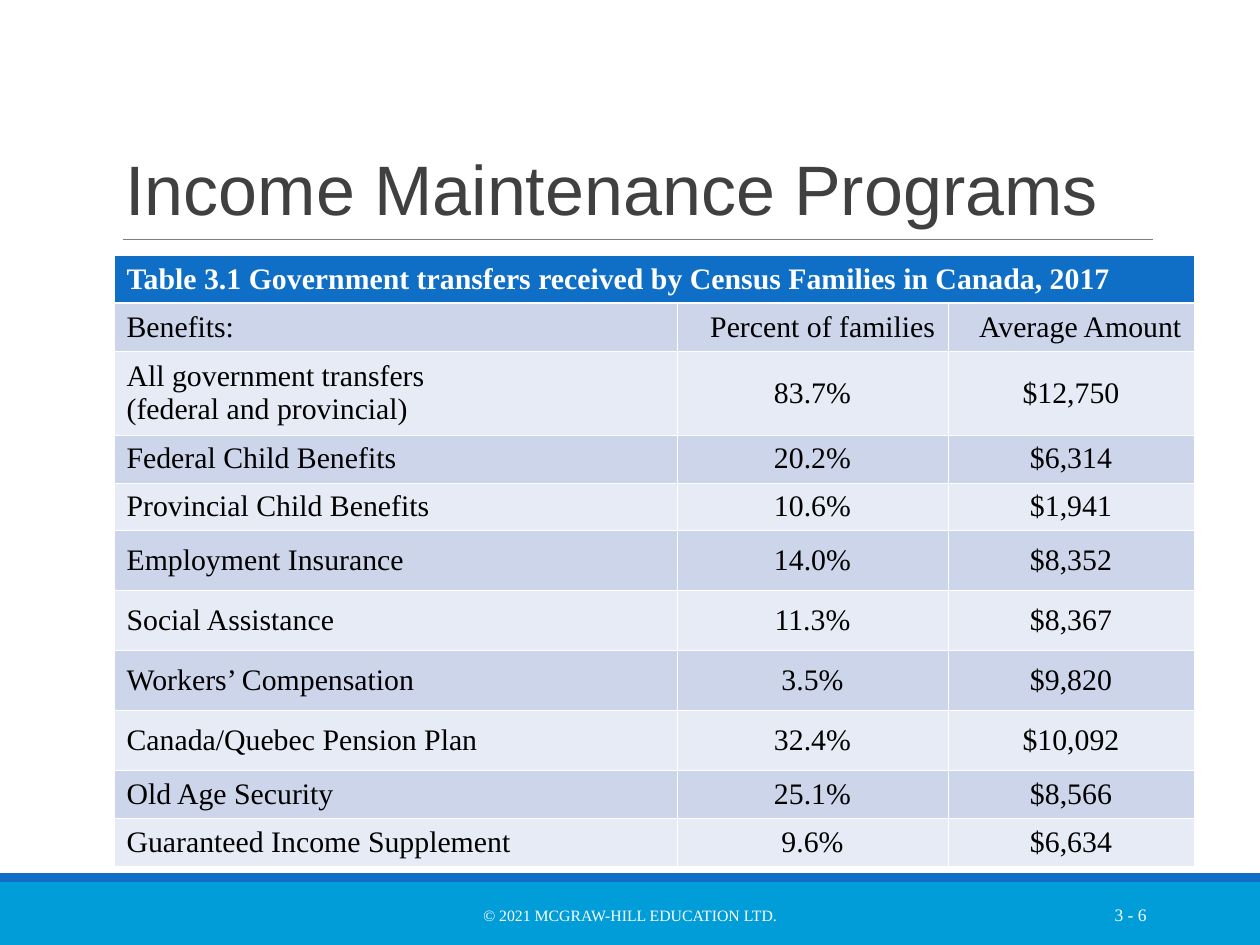
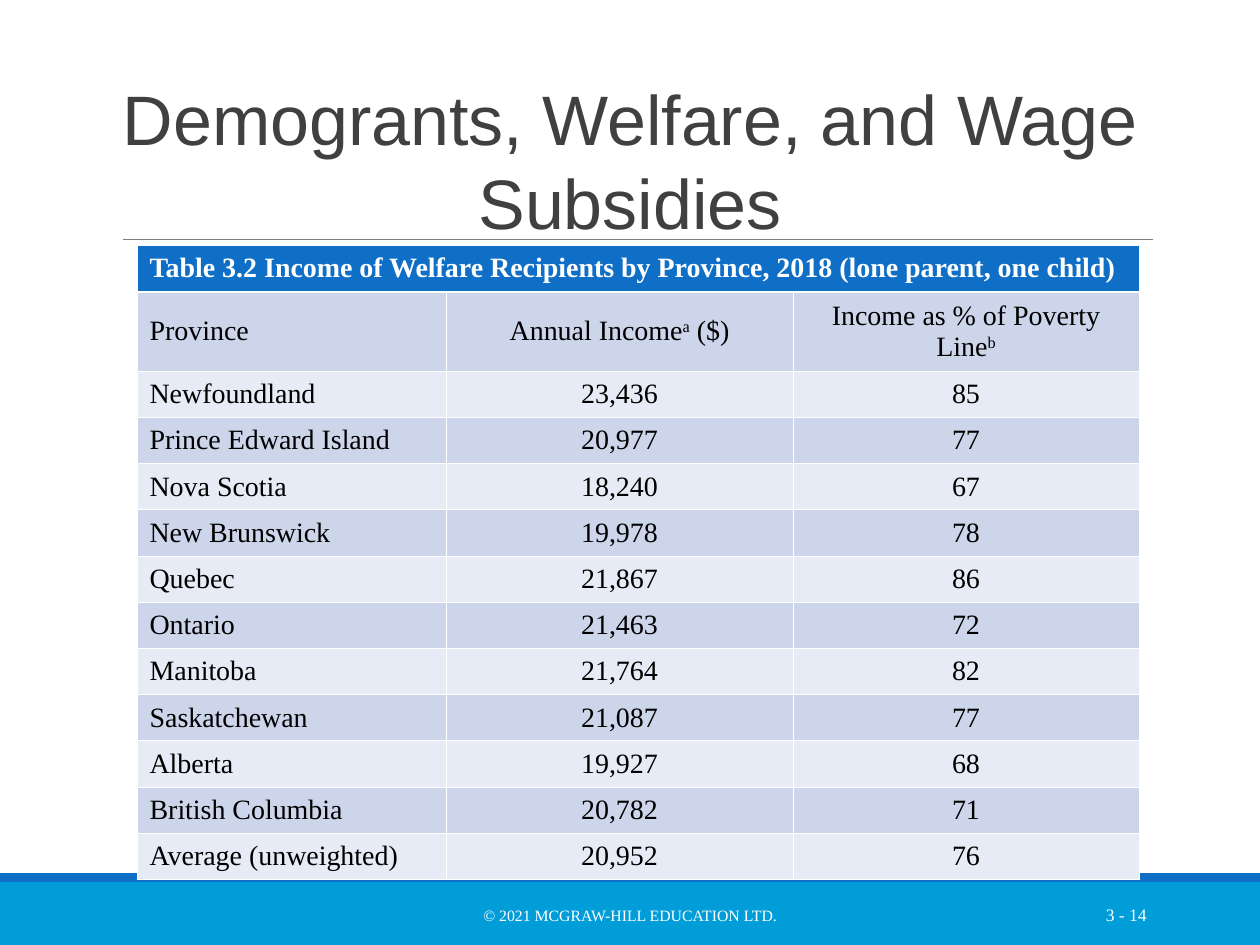
from dataclasses import dataclass

from lxml import etree
from pptx import Presentation
from pptx.dml.color import RGBColor
from pptx.enum.shapes import MSO_CONNECTOR, MSO_SHAPE
from pptx.enum.text import MSO_ANCHOR, MSO_AUTO_SIZE, PP_ALIGN
from pptx.oxml.ns import qn
from pptx.util import Emu, Pt

LEFT, CENTER, RIGHT = PP_ALIGN.LEFT, PP_ALIGN.CENTER, PP_ALIGN.RIGHT
MIDDLE, BOTTOM = MSO_ANCHOR.MIDDLE, MSO_ANCHOR.BOTTOM
STRAIGHT, RECTANGLE = MSO_CONNECTOR.STRAIGHT, MSO_SHAPE.RECTANGLE
NO_AUTOFIT = MSO_AUTO_SIZE.NONE
EMU_PER_PX = 914400 / 126


@dataclass(frozen=True)
class Theme:
    title_font: str = "Arial"
    body_font: str = "Times New Roman"
    title_size: int = 40
    footer_size: int = 9
    number_size: int = 10
    title: str = "404040"
    text: str = "000000"
    white: str = "FFFFFF"
    rule: str = "7F7F7F"
    footer: str = "009DD9"
    accent: str = "0F6FC6"
    bands: tuple = ("CCD5EA", "E7EBF5")
    thin: float = 0.45
    thick: float = 1.47


THEME = Theme()


def px(*lengths):
    return [Emu(round(length * EMU_PER_PX)) for length in lengths]


def write(frame, text, size, color, font=THEME.body_font, bold=False,
          align=LEFT, anchor=MIDDLE, spacing=1.0):
    frame.word_wrap = True
    frame.vertical_anchor = anchor
    for index, line in enumerate(text.split("\n")):
        para = frame.add_paragraph() if index else frame.paragraphs[0]
        para.alignment = align
        para.line_spacing = spacing
        for part, piece in enumerate(line.split("^")):
            if not piece:
                continue
            span = para.add_run()
            span.text = piece
            span.font.name = font
            span.font.size = Pt(size)
            span.font.bold = bold
            span.font.color.rgb = RGBColor.from_string(color)
            if part % 2:
                span.font._element.set("baseline", "30000")


pages = [
    dict(
        title="Income Maintenance Programs",
        title_box=(113, 35, 1040, 201),
        title_format=dict(align=LEFT, anchor=BOTTOM, spacing=0.85),
        number="3 - 6",
        table_at=(114, 255),
        columns=(563, 271, 246),
        heights=[48, 48, 84, 48, 48, 60, 60, 60, 60, 48, 48],
        size=17,
        heading_align=RIGHT,
        rows=[
            ("Table 3.1 Government transfers received by Census Families in Canada, 2017",),
            ("Benefits:", "Percent of families", "Average Amount"),
            ("All government transfers\n(federal and provincial)", "83.7%", "$12,750"),
            ("Federal Child Benefits", "20.2%", "$6,314"),
            ("Provincial Child Benefits", "10.6%", "$1,941"),
            ("Employment Insurance", "14.0%", "$8,352"),
            ("Social Assistance", "11.3%", "$8,367"),
            ("Workers’ Compensation", "3.5%", "$9,820"),
            ("Canada/Quebec Pension Plan", "32.4%", "$10,092"),
            ("Old Age Security", "25.1%", "$8,566"),
            ("Guaranteed Income Supplement", "9.6%", "$6,634"),
        ],
    ),
    dict(
        title="Demogrants, Welfare, and Wage Subsidies",
        title_box=(63, 81, 1134, 158),
        title_format=dict(align=CENTER, anchor=MIDDLE),
        number="3 - 14",
        table_at=(137, 245),
        columns=(309, 347, 346),
        heights=[47, 79] + [509 / 11] * 11,
        size=16,
        heading_align=CENTER,
        rows=[
            ("Table 3.2 Income of Welfare Recipients by Province, 2018 (lone parent, one child)",),
            ("Province", "Annual Income^a^ ($)", "Income as % of Poverty Line^b"),
            ("Newfoundland", "23,436", "85"),
            ("Prince Edward Island", "20,977", "77"),
            ("Nova Scotia", "18,240", "67"),
            ("New Brunswick", "19,978", "78"),
            ("Quebec", "21,867", "86"),
            ("Ontario", "21,463", "72"),
            ("Manitoba", "21,764", "82"),
            ("Saskatchewan", "21,087", "77"),
            ("Alberta", "19,927", "68"),
            ("British Columbia", "20,782", "71"),
            ("Average (unweighted)", "20,952", "76"),
        ],
    ),
]

deck = Presentation()
deck.slide_width, deck.slide_height = px(1260, 945)
title_only = deck.slide_layouts[5]

for content in pages:
    page = deck.slides.add_slide(title_only)

    for top, height, color in ((882, 63, THEME.footer), (873, 9, THEME.accent)):
        band = page.shapes.add_shape(RECTANGLE, *px(0, top, 1260, height))
        band.shadow.inherit = False
        band.fill.solid()
        band.fill.fore_color.rgb = RGBColor.from_string(color)
        band.line.fill.background()

    rule = page.shapes.add_connector(STRAIGHT, *px(123, 239, 1153, 239))
    rule.line.color.rgb = RGBColor.from_string(THEME.rule)
    rule.line.width = Pt(0.5)
    etree.SubElement(rule._element.spPr, qn("a:effectLst"))

    title = page.shapes.title
    title.left, title.top, title.width, title.height = px(*content["title_box"])
    title.text_frame.auto_size = NO_AUTOFIT
    write(title.text_frame, content["title"], THEME.title_size, THEME.title,
          font=THEME.title_font, **content["title_format"])

    rows, columns, heights = content["rows"], content["columns"], content["heights"]
    frame = page.shapes.add_table(
        len(rows), len(columns),
        *px(*content["table_at"], sum(columns), sum(heights)))
    table = frame.table
    table.first_row = table.horz_banding = False
    for column, width in zip(table.columns, px(*columns)):
        column.width = width
    for row, height in zip(table.rows, px(*heights)):
        row.height = height
    table.cell(0, 0).merge(table.cell(0, len(columns) - 1))

    for row_index, row in enumerate(table.rows):
        is_caption = row_index == 0
        fill = THEME.accent if is_caption else THEME.bands[(row_index - 1) % 2]
        value_align = content["heading_align"] if row_index == 1 else CENTER
        for column_index, cell in enumerate(row.cells):
            properties = cell._tc.get_or_add_tcPr()
            for side in "LRTB":
                is_thick = (row_index, side) in ((0, "B"), (1, "T"))
                width = Pt(THEME.thick if is_thick else THEME.thin)
                border = etree.SubElement(properties, qn(f"a:ln{side}"), w=str(width))
                paint = etree.SubElement(border, qn("a:solidFill"))
                etree.SubElement(paint, qn("a:srgbClr"), val=THEME.white)
            cell.fill.solid()
            cell.fill.fore_color.rgb = RGBColor.from_string(fill)
            cell.vertical_anchor = MIDDLE
            if column_index < len(rows[row_index]):
                write(cell.text_frame, rows[row_index][column_index], content["size"],
                      THEME.white if is_caption else THEME.text, bold=is_caption,
                      align=value_align if column_index else LEFT)

    for left, width, text, size, align in (
        (381, 498, "© 2021 MCGRAW-HILL EDUCATION LTD.", THEME.footer_size, CENTER),
        (1023, 136, content["number"], THEME.number_size, RIGHT),
    ):
        box = page.shapes.add_textbox(*px(left, 890, width, 50))
        write(box.text_frame, text, size, THEME.white, align=align)

deck.save("out.pptx")
